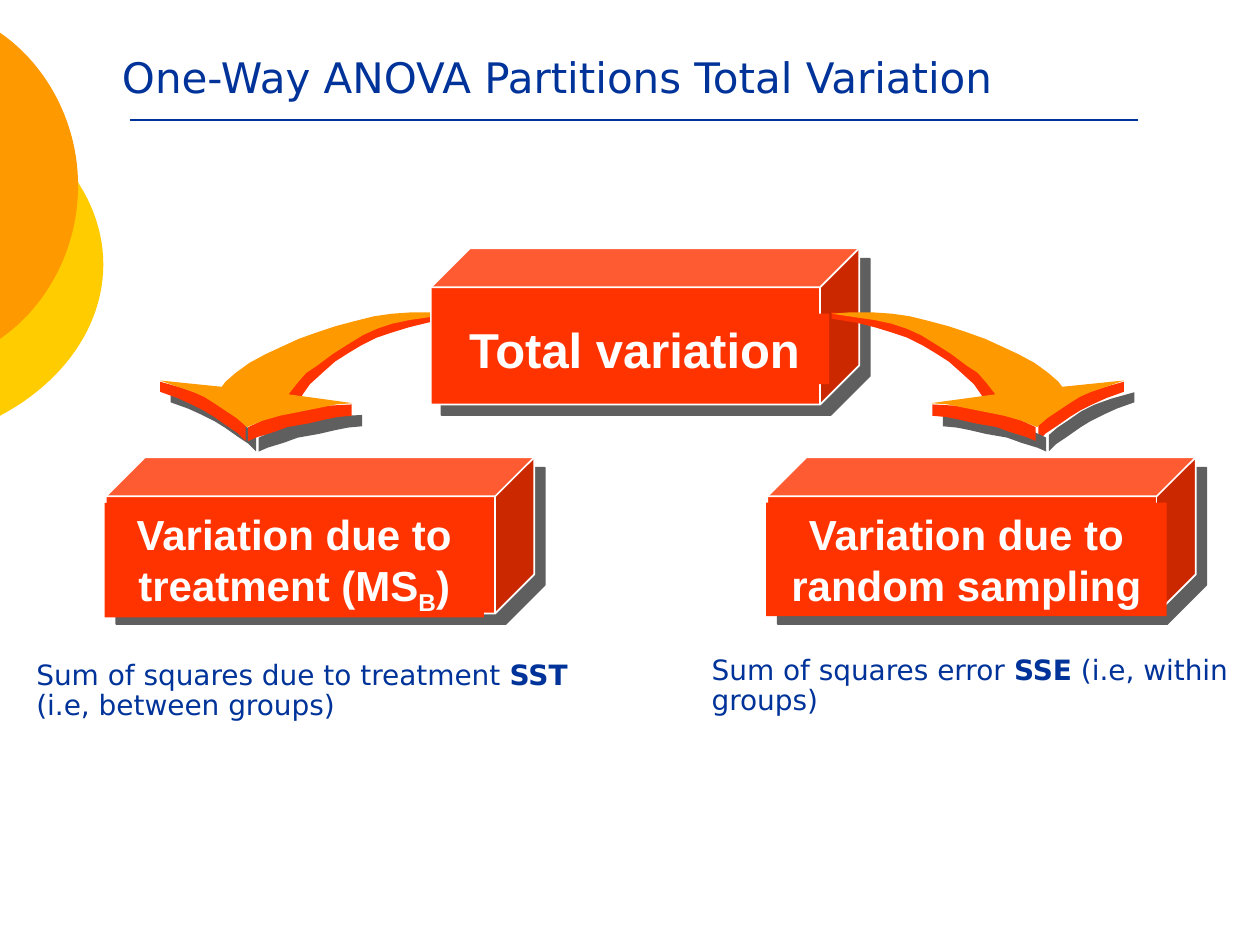
from dataclasses import dataclass

from lxml.etree import SubElement
from pptx import Presentation
from pptx.dml.color import RGBColor
from pptx.enum.shapes import MSO_CONNECTOR, MSO_SHAPE
from pptx.enum.text import MSO_ANCHOR, PP_ALIGN
from pptx.oxml.ns import qn
from pptx.util import Inches, Pt

Point = tuple[float, float]


@dataclass(frozen=True)
class Theme:
    blue: str = "003399"
    red: str = "FF3300"
    orange: str = "FF9900"
    yellow: str = "FFCC00"
    white: str = "FFFFFF"
    shadow: str = "5F5F5F"
    heading_font: str = "DejaVu Sans"
    box_font: str = "Arial"
    title_size: int = 24
    total_size: int = 28
    part_size: int = 24
    caption_size: int = 16


@dataclass(frozen=True)
class TextRun:
    text: str
    bold: bool | None = None
    subscript: bool = False


@dataclass(frozen=True)
class Box:
    """A cube and the label plate that lies on its front face."""
    cube: Point
    plate: tuple[float, float, float, float]
    runs: tuple[TextRun, ...]
    size: int


@dataclass(frozen=True)
class Caption:
    bounds: tuple[float, float, float, float]
    runs: tuple[TextRun, ...]


@dataclass(frozen=True)
class ArrowPart:
    points: tuple[Point, ...]
    color: str
    shadow: bool = False


THEME = Theme()
CUBE_SIZE = (3.4, 1.24)
MIRROR_SUM = 10.19  # left x plus right x of matching arrow points

BOXES = (
    Box((3.42, 1.97), (3.49, 2.49, 3.09, 0.56), (TextRun("Total variation"),), THEME.total_size),
    Box((6.09, 3.63), (6.08, 3.99, 3.18, 0.9),
        (TextRun("Variation due to random sampling"),), THEME.part_size),
    Box((0.84, 3.63), (0.83, 3.99, 3.01, 0.91),
        (TextRun("Variation due to treatment (MS"), TextRun("B", subscript=True), TextRun(")")),
        THEME.part_size),
)
TREATMENT = Caption((0.19, 5.2, 4.59, 0.99), (
    TextRun("Sum of squares due to treatment "), TextRun("SST", True),
    TextRun(" (i.e, between groups)")))
ERROR = Caption((5.55, 5.16, 4.33, 1.03), (
    TextRun("Sum of squares error "), TextRun("SSE", True),
    TextRun(" (i.e, within groups)")))

LEFT_ARROW = (
    ArrowPart((  # underside of the tail
        (3.59, 2.48), (3.59, 2.53), (3.4, 2.56), (3.24, 2.6), (3.11, 2.64), (2.99, 2.68),
        (2.87, 2.74), (2.77, 2.8), (2.66, 2.87), (2.57, 2.95), (2.46, 3.05), (2.39, 3.15),
        (2.25, 3.14), (2.29, 3.06), (2.44, 2.92), (2.65, 2.76), (2.79, 2.67), (2.94, 2.6),
        (3.07, 2.56), (3.23, 2.52), (3.37, 2.5)), THEME.red),
    ArrowPart((  # outer edge of the head
        (1.95, 3.39), (1.95, 3.5), (1.89, 3.44), (1.8, 3.38), (1.7, 3.31), (1.62, 3.26),
        (1.52, 3.21), (1.41, 3.16), (1.27, 3.11), (1.27, 3.03), (1.45, 3.08), (1.59, 3.13),
        (1.69, 3.18), (1.79, 3.25), (1.88, 3.31), (1.95, 3.37)), THEME.red, True),
    ArrowPart((  # inner edge of the head
        (2.79, 3.21), (2.79, 3.3), (2.68, 3.31), (2.58, 3.33), (2.45, 3.36), (2.28, 3.39),
        (2.17, 3.43), (2.04, 3.47), (1.97, 3.5), (1.97, 3.39), (2.12, 3.32), (2.24, 3.28),
        (2.35, 3.26), (2.47, 3.24), (2.6, 3.22)), THEME.red, True),
    ArrowPart((  # top face
        (3.59, 2.49), (3.46, 2.48), (3.25, 2.48), (3.11, 2.49), (2.97, 2.51), (2.81, 2.55),
        (2.66, 2.59), (2.51, 2.64), (2.37, 2.69), (2.24, 2.75), (2.11, 2.81), (1.98, 2.88),
        (1.87, 2.96), (1.79, 3.03), (1.76, 3.07), (1.27, 3.02), (1.41, 3.07), (1.53, 3.11),
        (1.62, 3.15), (1.7, 3.2), (1.79, 3.26), (1.88, 3.32), (1.96, 3.39), (2.08, 3.34),
        (2.22, 3.3), (2.37, 3.27), (2.52, 3.24), (2.67, 3.21), (2.8, 3.2), (2.29, 3.13),
        (2.36, 3.04), (2.43, 2.96), (2.52, 2.9), (2.64, 2.81), (2.75, 2.74), (2.88, 2.66),
        (2.99, 2.61), (3.11, 2.57), (3.25, 2.54), (3.39, 2.52)), THEME.orange),
)


def rgb(color: str) -> RGBColor:
    return RGBColor.from_string(color)


def paint(shape, color: str) -> None:
    """Give a shape a plain fill with no line and no shadow."""
    shape.fill.solid()
    shape.fill.fore_color.rgb = rgb(color)
    shape.line.fill.background()
    shape.shadow.inherit = False


def add_shadow(shape) -> None:
    effects = shape._element.spPr.find(qn("a:effectLst"))
    outer = SubElement(effects, qn("a:outerShdw"), blurRad="0", dist=str(Pt(8.5)),
                       dir=str(45 * 60000), algn="ctr", rotWithShape="0")
    SubElement(outer, qn("a:srgbClr"), val=THEME.shadow)


def write_runs(shape, runs: tuple[TextRun, ...], font: str, size: int, color: str,
               bold: bool | None = None):
    frame = shape.text_frame
    frame.word_wrap = True
    frame.vertical_anchor = MSO_ANCHOR.TOP
    paragraph = frame.paragraphs[0]
    paragraph.font.name = font
    paragraph.font.size = Pt(size)
    paragraph.font.bold = bold
    paragraph.font.color.rgb = rgb(color)
    for item in runs:
        run = paragraph.add_run()
        run.text = item.text
        if item.bold is not None:
            run.font.bold = item.bold
        if item.subscript:
            run._r.get_or_add_rPr().set("baseline", "-25000")
    return paragraph


def draw_polygon(slide, points: list[Point], color: str):
    corners = [(Inches(x), Inches(y)) for x, y in points]
    builder = slide.shapes.build_freeform(*corners[0])
    builder.add_line_segments(corners[1:], close=True)
    shape = builder.convert_to_shape()
    paint(shape, color)
    return shape


def bezier(a: Point, b: Point, c: Point, d: Point, steps: int = 24) -> list[Point]:
    def at(t: float, axis: int) -> float:
        u = 1 - t
        return (u**3 * a[axis] + 3 * u * u * t * b[axis]
                + 3 * u * t * t * c[axis] + t**3 * d[axis])
    return [(at(i / steps, 0), at(i / steps, 1)) for i in range(steps + 1)]


def draw_edge_disc(slide, top: float, bottom: float, reach: float, bend: float,
                   shoulder: float, grip: float, color: str) -> None:
    """Draw the part of a disc that enters from the left edge of the slide."""
    middle = (top + bottom) / 2
    upper = bezier((0, top), (bend, top + shoulder), (reach, middle - grip), (reach, middle))
    lower = [(x, 2 * middle - y) for x, y in reversed(upper[:-1])]
    draw_polygon(slide, upper + lower, color)


def draw_arrow(slide, mirrored: bool) -> None:
    for part in LEFT_ARROW:
        points = [(MIRROR_SUM - x if mirrored else x, y) for x, y in part.points]
        shape = draw_polygon(slide, points, part.color)
        if part.shadow:
            add_shadow(shape)


def draw_cube(slide, box: Box) -> None:
    cube = slide.shapes.add_shape(MSO_SHAPE.CUBE, *map(Inches, box.cube + CUBE_SIZE))
    paint(cube, THEME.red)
    cube.line.color.rgb = rgb(THEME.white)
    cube.line.width = Pt(1)
    add_shadow(cube)


def draw_plate(slide, box: Box) -> None:
    plate = slide.shapes.add_shape(MSO_SHAPE.RECTANGLE, *map(Inches, box.plate))
    paint(plate, THEME.red)
    paragraph = write_runs(plate, box.runs, THEME.box_font, box.size, THEME.white, True)
    paragraph.alignment = PP_ALIGN.CENTER


def draw_caption(slide, caption: Caption) -> None:
    textbox = slide.shapes.add_textbox(*map(Inches, caption.bounds))
    paragraph = write_runs(textbox, caption.runs, THEME.heading_font, THEME.caption_size,
                           THEME.blue)
    paragraph.line_spacing = 0.9


def draw_title(slide) -> None:
    rule = slide.shapes.add_connector(MSO_CONNECTOR.STRAIGHT, Inches(1.03), Inches(0.95),
                                      Inches(9.03), Inches(0.95))
    rule.line.color.rgb = rgb(THEME.blue)
    rule.line.width = Pt(1)
    SubElement(rule._element.spPr, qn("a:effectLst"))
    title = slide.shapes.add_textbox(Inches(0.87), Inches(0.28), Inches(8.43), Inches(0.58))
    write_runs(title, (TextRun("One-Way ANOVA Partitions Total Variation"),),
               THEME.heading_font, THEME.title_size, THEME.blue)
    title.text_frame.vertical_anchor = MSO_ANCHOR.BOTTOM


def main() -> None:
    presentation = Presentation()
    presentation.slide_width, presentation.slide_height = Inches(10), Inches(7.5)
    slide = presentation.slides.add_slide(presentation.slide_layouts[6])
    draw_edge_disc(slide, 0.9, 3.3, 0.82, 0.51, 0.27, 0.48, THEME.yellow)
    draw_edge_disc(slide, 0.26, 2.69, 0.62, 0.39, 0.27, 0.48, THEME.orange)
    draw_title(slide)
    draw_arrow(slide, mirrored=False)
    for box in BOXES:
        draw_cube(slide, box)
    for box in reversed(BOXES):
        draw_plate(slide, box)
    draw_caption(slide, TREATMENT)
    draw_arrow(slide, mirrored=True)
    draw_caption(slide, ERROR)
    presentation.save("out.pptx")


if __name__ == "__main__":
    main()
